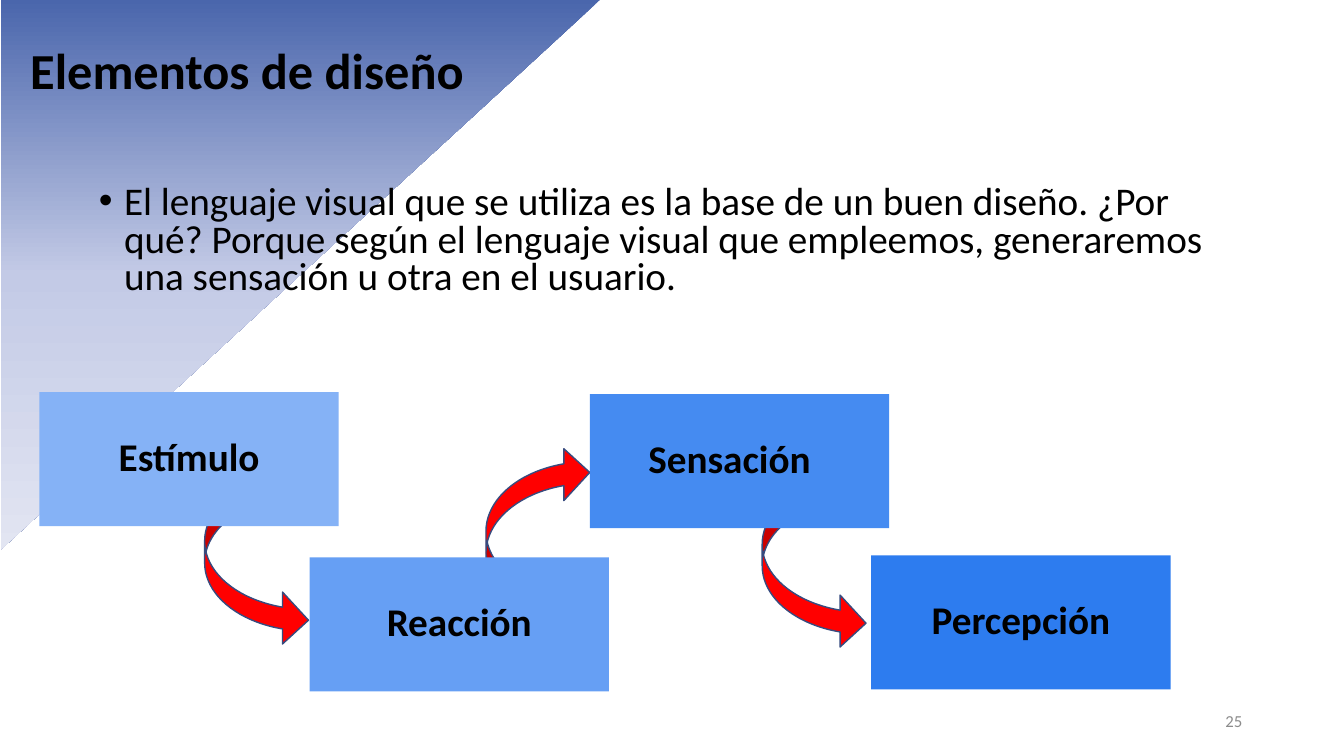
import copy
import dataclasses
import pptx
import pptx.dml.color
import pptx.enum.shapes
import pptx.enum.text
import pptx.oxml
import pptx.oxml.ns
import pptx.util

Inches = pptx.util.Inches
Pt = pptx.util.Pt
Shape = pptx.enum.shapes.MSO_SHAPE
Align = pptx.enum.text.PP_ALIGN
Anchor = pptx.enum.text.MSO_ANCHOR
qn = pptx.oxml.ns.qn


@dataclasses.dataclass(frozen=True)
class Theme:
    font: str = "Calibri"
    ink: str = "000000"
    gray: str = "8C8C8C"
    red: str = "FF0000"
    edge: str = "374B7F"
    fade: tuple = ((0, "4A66AC"), (50, "C3CAE6"), (100, "E2E5F2"))
    blues: tuple = ("85B2F6", "669FF4", "458BF1", "2D7CEF")
    head: int = 36
    text: int = 28
    note: int = 12


def tint(code):
    return pptx.dml.color.RGBColor.from_string(code)


def write(shape, text, theme, size, color=None, bold=False, align=Align.LEFT,
          anchor=Anchor.TOP, space=1.0, bullet=None):
    frame = shape.text_frame
    frame.word_wrap = True
    frame.auto_size = pptx.enum.text.MSO_AUTO_SIZE.NONE
    frame.vertical_anchor = anchor
    frame.text = text
    para = frame.paragraphs[0]
    para.alignment = align
    para.line_spacing = space
    para.space_before = Pt(0)
    if bullet:
        props = para._p.get_or_add_pPr()
        props.set("marL", str(Inches(0.25)))
        props.set("indent", str(Inches(-0.25)))
        font = pptx.oxml.ns.nsdecls("a")
        props.append(pptx.oxml.parse_xml(f'<a:buFont {font} typeface="Arial"/>'))
        props.append(pptx.oxml.parse_xml(f'<a:buChar {font} char="{bullet}"/>'))
    font = para.runs[0].font
    font.name = theme.font
    font.size = Pt(size)
    font.bold = bold
    font.color.rgb = tint(color or theme.ink)


class Deck:
    def __init__(self, theme):
        self.theme = theme
        self.file = pptx.Presentation()
        self.file.slide_width = Inches(13.33)
        self.file.slide_height = Inches(7.5)
        self.slide = self.file.slides.add_slide(self.file.slide_layouts[1])

    def shape(self, kind, box, color=None, edge=None):
        item = self.slide.shapes.add_shape(kind, *map(Inches, box))
        item.shadow.inherit = False
        if color:
            item.fill.solid()
            item.fill.fore_color.rgb = tint(color)
        if edge:
            item.line.color.rgb = tint(edge)
            item.line.width = Pt(1)
        else:
            item.line.fill.background()
        return item

    def corner(self, box):
        item = self.shape(Shape.RIGHT_TRIANGLE, box)
        item.rotation = 90
        item.fill.gradient()
        item.fill.gradient_angle = 0
        stops = item.element.spPr.find(qn("a:gradFill")).find(qn("a:gsLst"))
        stops.insert(1, copy.deepcopy(stops[0]))
        for stop, (place, color) in zip(item.fill.gradient_stops, self.theme.fade):
            stop.position = place / 100
            stop.color.rgb = tint(color)

    def arrow(self, box, flip=False):
        item = self.shape(Shape.CURVED_RIGHT_ARROW, box, self.theme.red, self.theme.edge)
        for spot, value in enumerate((0.21, 0.5, 0.25)):
            item.adjustments[spot] = value
        if flip:
            item.element.spPr.find(qn("a:xfrm")).set("flipV", "1")

    def holder(self, index, box, text, **style):
        item = self.slide.placeholders[index]
        item.left, item.top, item.width, item.height = map(Inches, box)
        item.element.getparent().append(item.element)
        write(item, text, self.theme, **style)

    def label(self, box, text, **style):
        item = self.slide.shapes.add_textbox(*map(Inches, box))
        write(item, text, self.theme, **style)

    def step(self, left, top, text, color, shift=0):
        wide = 2.97
        self.shape(Shape.RECTANGLE, (left, top, wide, 1.33), color)
        self.label((left + shift, top + 0.4, wide, 0.57), text, size=self.theme.text,
                   bold=True, align=Align.CENTER, space=0.9)


def main():
    theme = Theme()
    deck = Deck(theme)
    deck.arrow((7.56, 4.72, 1.03, 1.72))
    deck.arrow((4.82, 4.43, 1.03, 1.75), flip=True)
    deck.arrow((2.03, 4.69, 1.03, 1.72))
    deck.corner((0.25, -0.25, 5.46, 5.95))
    deck.holder(0, (0.2, 0, 11.5, 1.45), "Elementos de diseño", size=theme.head,
                bold=True, anchor=Anchor.MIDDLE, space=0.9)
    deck.label((9.42, 6.95, 3, 0.4), "25", size=theme.note, color=theme.gray,
               align=Align.RIGHT, anchor=Anchor.MIDDLE)
    deck.holder(1, (0.88, 1.79, 11.5, 1.33),
                "El lenguaje visual que se utiliza es la base de un buen diseño. "
                "¿Por qué? Porque según el lenguaje visual que empleemos, "
                "generaremos una sensación u otra en el usuario.",
                size=theme.text, space=0.8, bullet="•")
    steps = (
        (0.39, 3.89, "Estímulo", 0),
        (3.07, 5.53, "Reacción", 0),
        (5.85, 3.91, "Sensación", -0.1),
        (8.64, 5.51, "Percepción", 0),
    )
    for (left, top, text, shift), color in zip(steps, theme.blues):
        deck.step(left, top, text, color, shift)
    deck.file.save("out.pptx")


if __name__ == "__main__":
    main()
